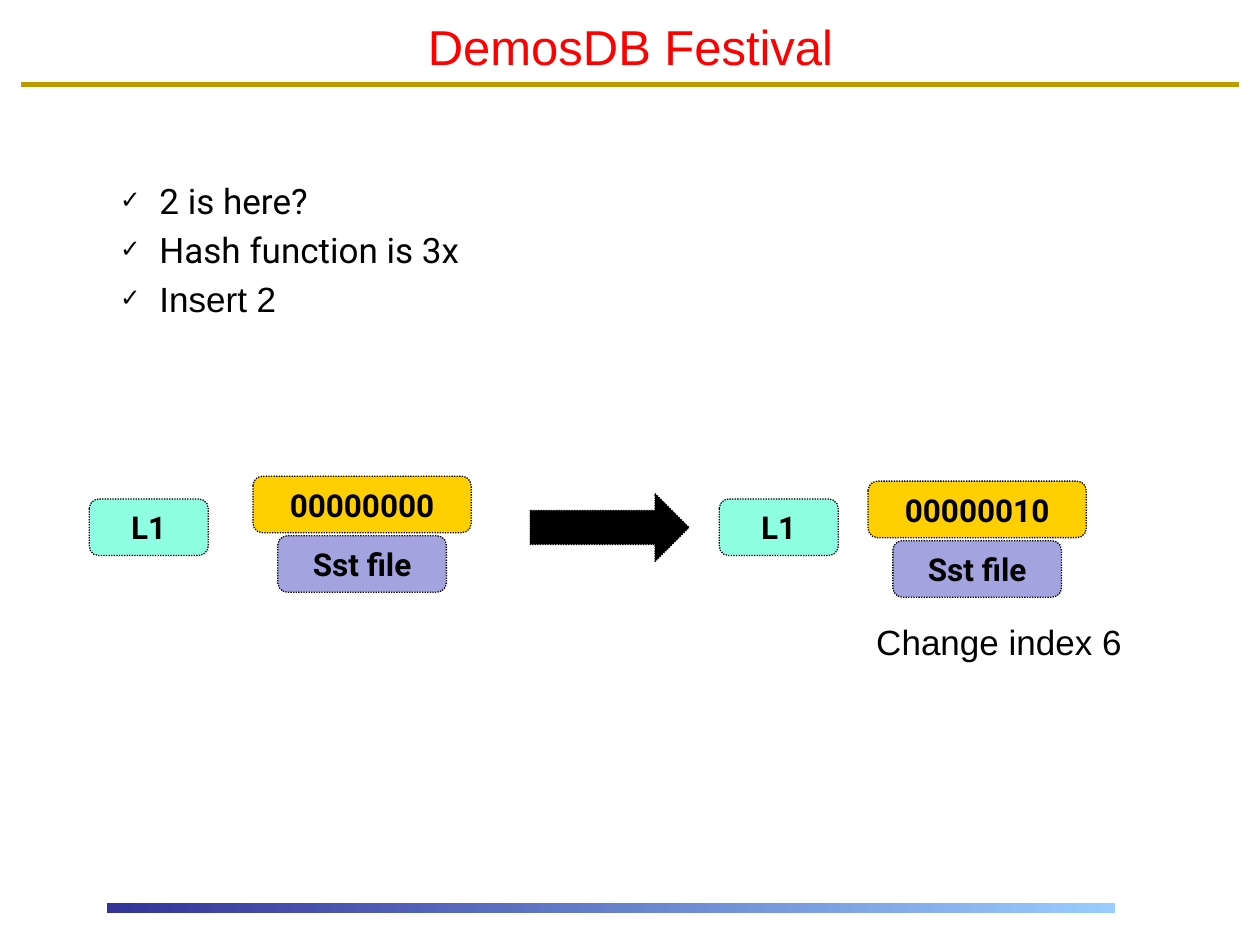
from lxml.etree import SubElement
from pptx import Presentation
from pptx.dml.color import RGBColor
from pptx.enum.dml import MSO_LINE_DASH_STYLE as Dash
from pptx.enum.shapes import MSO_CONNECTOR as Connector, MSO_SHAPE as Shape
from pptx.enum.text import MSO_ANCHOR as Anchor, MSO_AUTO_SIZE as AutoSize, PP_ALIGN as Align
from pptx.oxml.ns import qn
from pptx.util import Cm, Pt

BLACK = RGBColor(0x00, 0x00, 0x00)
RED = RGBColor(0xFF, 0x00, 0x00)
GOLD = RGBColor(0xBE, 0x9A, 0x00)
NAVY = RGBColor(0x33, 0x33, 0x99)
SKY = RGBColor(0x99, 0xCC, 0xFF)
YELLOW = RGBColor(0xFF, 0xCF, 0x01)
LILAC = RGBColor(0xA3, 0xA3, 0xE0)
MINT = RGBColor(0x8E, 0xFF, 0xE1)

BOX_HEIGHT = 1.14


def place(box, left, top, width, height):
    box.left, box.top = Cm(left), Cm(top)
    box.width, box.height = Cm(width), Cm(height)


def add_span(para, text, size, font="Roboto", color=BLACK, bold=False):
    span = para.add_run()
    span.text = text
    span.font.name = font
    span.font.size = Pt(size)
    span.font.bold = bold
    span.font.color.rgb = color


def add_rule(page):
    rule = page.shapes.add_connector(Connector.STRAIGHT, Cm(0.43), Cm(1.7), Cm(24.97), Cm(1.7))
    rule.line.color.rgb = GOLD
    rule.line.width = Pt(3)
    SubElement(rule._element.spPr, qn("a:effectLst"))


def add_footer_bar(page):
    bar = page.shapes.add_shape(Shape.RECTANGLE, Cm(2.16), Cm(18.21), Cm(20.32), Cm(0.2))
    bar.shadow.inherit = False
    bar.line.fill.background()
    bar.fill.gradient()
    bar.fill.gradient_angle = 0
    for stop, color, position in zip(bar.fill.gradient_stops, (NAVY, SKY), (0, 1)):
        stop.color.rgb = color
        stop.position = position


def fill_title(page, text):
    title = page.shapes.title
    place(title, 0.43, 0.2, 24.56, 1.47)
    title.text_frame.vertical_anchor = Anchor.MIDDLE
    para = title.text_frame.paragraphs[0]
    para.alignment = Align.CENTER
    add_span(para, text, 28, "Arial", RED)


def set_indent(para, margin, hanging=0):
    props = para._p.get_or_add_pPr()
    props.set("marL", str(Cm(margin)))
    props.set("indent", str(-Cm(hanging)))
    return props


def add_check_bullet(para):
    props = set_indent(para, 2.06, 0.79)
    color = SubElement(props, qn("a:buClr"))
    SubElement(color, qn("a:srgbClr"), val=str(BLACK))
    SubElement(props, qn("a:buSzPct"), val="70000")
    SubElement(props, qn("a:buChar"), char="✓")


def fill_body(page, items, remark):
    body = page.placeholders[1]
    place(body, 0.9, 2.34, 23.6, 15.24)
    frame = body.text_frame
    frame.auto_size = AutoSize.NONE
    frame.vertical_anchor = Anchor.TOP
    frame.margin_top = Cm(1.27)
    para = frame.paragraphs[0]
    for text, font in items:
        para.level = 1
        para.space_before = Pt(4)
        add_check_bullet(para)
        add_span(para, text, 20, font)
        para = frame.add_paragraph()
    para.level = 1
    para.space_before = Pt(172.5)
    SubElement(set_indent(para, 16.51), qn("a:buNone"))
    add_span(para, remark, 20, "Arial")


def add_dotted_shape(page, kind, left, top, width, height, color):
    box = page.shapes.add_shape(kind, Cm(left), Cm(top), Cm(width), Cm(height))
    box.shadow.inherit = False
    box.fill.solid()
    box.fill.fore_color.rgb = color
    box.line.color.rgb = BLACK
    box.line.width = Pt(0.75)
    box.line.dash_style = Dash.ROUND_DOT
    return box


def add_label_box(page, text, left, top, width, color):
    box = add_dotted_shape(page, Shape.ROUNDED_RECTANGLE, left, top, width, BOX_HEIGHT, color)
    box.text_frame.vertical_anchor = Anchor.MIDDLE
    para = box.text_frame.paragraphs[0]
    para.alignment = Align.CENTER
    add_span(para, text, 18, bold=True)


def add_level(page, bits, level_left, stack_left, stack_top):
    add_label_box(page, bits, stack_left, stack_top, 4.4, YELLOW)
    add_label_box(page, "Sst file", stack_left + 0.5, stack_top + 1.2, 3.4, LILAC)
    add_label_box(page, "L1", level_left, 10.06, 2.4, MINT)


def main():
    deck = Presentation()
    deck.slide_width, deck.slide_height = Cm(25.4), Cm(19.05)
    page = deck.slides.add_slide(deck.slide_layouts[1])
    add_rule(page)
    add_footer_bar(page)
    fill_title(page, "DemosDB Festival")
    items = [("2 is here?", "Roboto"), ("Hash function is 3x", "Roboto"), ("Insert 2", "Arial")]
    fill_body(page, items, "Change index 6")
    add_level(page, "00000000", 1.8, 5.1, 9.6)
    add_dotted_shape(page, Shape.RIGHT_ARROW, 10.69, 9.95, 3.2, 1.37, BLACK)
    add_level(page, "00000010", 14.5, 17.5, 9.7)
    deck.save("out.pptx")


if __name__ == "__main__":
    main()
